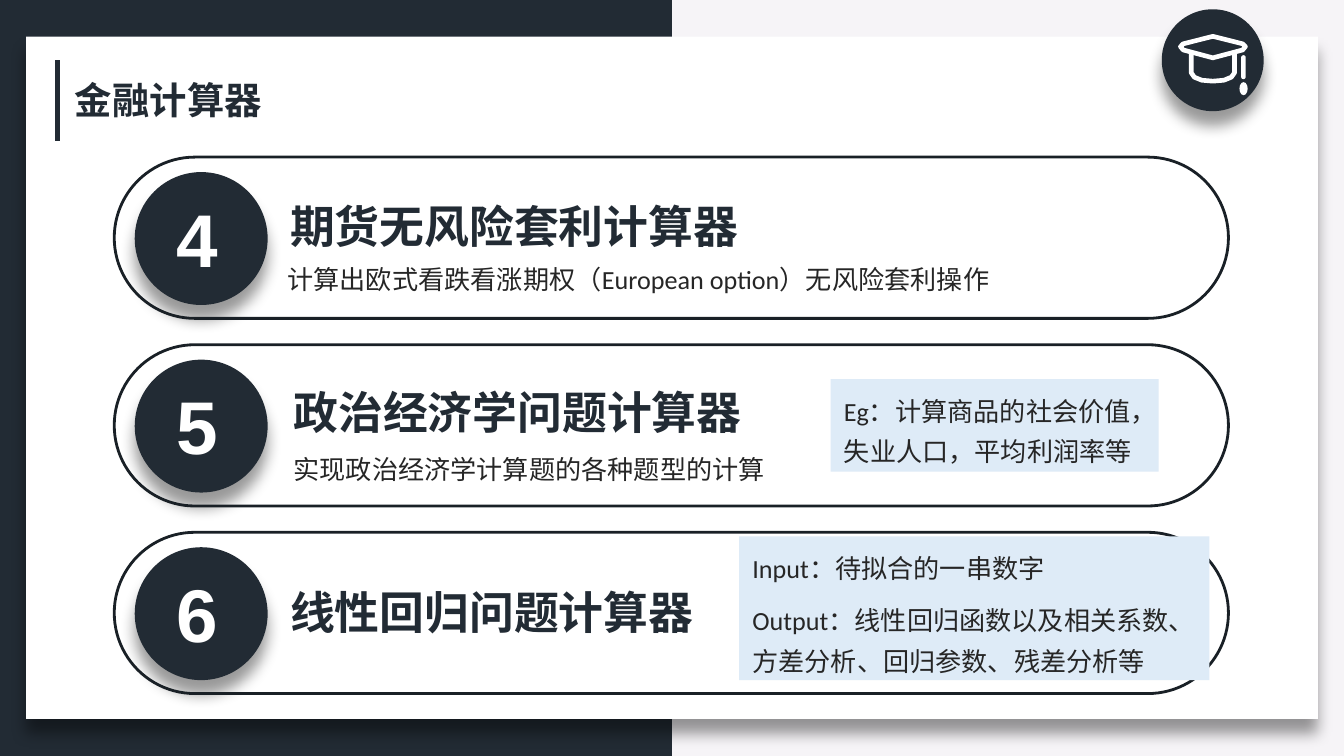
from dataclasses import dataclass

from lxml import etree
from pptx import Presentation
from pptx.dml.color import RGBColor
from pptx.enum.lang import MSO_LANGUAGE_ID
from pptx.enum.shapes import MSO_CONNECTOR, MSO_SHAPE
from pptx.enum.text import MSO_ANCHOR, MSO_AUTO_SIZE, PP_ALIGN
from pptx.oxml.ns import qn
from pptx.util import Pt

RECTANGLE = MSO_SHAPE.RECTANGLE
OVAL = MSO_SHAPE.OVAL
ROUNDED = MSO_SHAPE.ROUNDED_RECTANGLE
STRAIGHT = MSO_CONNECTOR.STRAIGHT
CHINESE = MSO_LANGUAGE_ID.SIMPLIFIED_CHINESE
FIT_SHAPE = MSO_AUTO_SIZE.SHAPE_TO_FIT_TEXT
TOP = MSO_ANCHOR.TOP
LEFT = PP_ALIGN.LEFT
CENTER = PP_ALIGN.CENTER

NAVY = RGBColor(0x22, 0x2B, 0x34)
OUTLINE = RGBColor(0x19, 0x20, 0x26)
BODY = RGBColor(0x26, 0x26, 0x26)
WHITE = RGBColor(0xFF, 0xFF, 0xFF)
PALE = RGBColor(0xF6, 0xF4, 0xF7)
SKY = RGBColor(0xDE, 0xEB, 0xF7)
CJK_FONT = "Noto Sans CJK SC"


@dataclass
class Box:
    left: float
    top: float
    width: float
    height: float

    def inner(self, left, top, width, height):
        return Box(self.left + left, self.top + top, width, height)

    def lengths(self):
        return Pt(self.left), Pt(self.top), Pt(self.width), Pt(self.height)


@dataclass
class Style:
    size: float
    font: str
    color: RGBColor
    bold: bool = False
    align: int = LEFT
    spaced: bool = False


PAGE_TITLE = Style(20, CJK_FONT, NAVY, bold=True)
ROW_TITLE = Style(24, "Arial", NAVY, bold=True)
NUMBER = Style(40, "Arial", WHITE, bold=True, align=CENTER)
DETAIL = Style(14, "Calibri", BODY, spaced=True)


def add_shadow(shape):
    effects = shape._element.spPr.find(qn("a:effectLst"))
    shadow = etree.SubElement(effects, qn("a:outerShdw"), blurRad=str(Pt(8)),
                              dist=str(Pt(8)), dir="5400000", algn="t", rotWithShape="0")
    color = etree.SubElement(shadow, qn("a:srgbClr"), val="000000")
    etree.SubElement(color, qn("a:alpha"), val="40000")


def add_shape(page, kind, box, fill, shadow=False):
    shape = page.shapes.add_shape(kind, *box.lengths())
    shape.shadow.inherit = False
    shape.fill.solid()
    shape.fill.fore_color.rgb = fill
    shape.line.fill.background()
    if shadow:
        add_shadow(shape)
    return shape


def write_text(shape, lines, style, wrap=True):
    frame = shape.text_frame
    frame.word_wrap = wrap
    frame.auto_size = FIT_SHAPE
    frame.vertical_anchor = TOP
    for index, line in enumerate(lines):
        para = frame.add_paragraph() if index else frame.paragraphs[0]
        para.alignment = style.align
        if style.spaced:
            para.line_spacing = 1.3
            para.space_before = Pt(6)
        span = para.add_run()
        span.text = line
        font = span.font
        font.size = Pt(style.size)
        font.bold = style.bold
        font.color.rgb = style.color
        font.name = style.font
        font.language_id = CHINESE
        etree.SubElement(font._element, qn("a:ea"), typeface=CJK_FONT)


def add_text(page, box, line, style, wrap=True):
    write_text(page.shapes.add_textbox(*box.lengths()), [line], style, wrap)


def add_outline(page, box, points, close):
    corners = [(Pt(box.left + x), Pt(box.top + y)) for x, y in points]
    builder = page.shapes.build_freeform(*corners[0], scale=1.0)
    builder.add_line_segments(corners[1:], close=close)
    shape = builder.convert_to_shape()
    shape.shadow.inherit = False
    shape.fill.background()
    shape.line.color.rgb = WHITE
    shape.line.width = Pt(2.5)
    etree.SubElement(shape.line._get_or_add_ln(), qn("a:round"))


def draw_badge(page, box):
    add_shape(page, OVAL, box, NAVY, shadow=True)
    brim = [(10, 20), (11.5, 18.5), (27.4, 14.5), (43.3, 18.5), (44.8, 20),
            (43.3, 21.8), (27.4, 26), (11.5, 21.8)]
    bowl = [(15.8, 24), (15.8, 34), (17.5, 36.4), (21.5, 38), (27.4, 38.5),
            (33.3, 38), (37.3, 36.4), (39, 34), (39, 24)]
    add_outline(page, box, brim, close=True)
    add_outline(page, box, bowl, close=False)
    cord = add_shape(page, ROUNDED, box.inner(42.5, 24.6, 2.5, 12.8), WHITE)
    cord.adjustments[0] = 0.5
    add_shape(page, OVAL, box.inner(41.6, 39, 4.4, 7), WHITE)


def draw_frame(page, box):
    page.background.fill.solid()
    page.background.fill.fore_color.rgb = PALE
    add_shape(page, RECTANGLE, box.inner(0, 0, box.width / 2, box.height), NAVY)
    add_shape(page, RECTANGLE, box.inner(14, 19.6, 692, 365.6), WHITE, shadow=True)
    draw_badge(page, box.inner(622.4, 5, 54.6, 54.6))


def draw_heading(page, box, title):
    bar = page.shapes.add_connector(STRAIGHT, Pt(box.left), Pt(box.top),
                                    Pt(box.left), Pt(box.top + box.height))
    bar.line.color.rgb = NAVY
    bar.line.width = Pt(2.25)
    etree.SubElement(bar._element.spPr, qn("a:effectLst"))
    add_text(page, box.inner(2.3, 5.8, 115.2, 31.7), title, PAGE_TITLE, wrap=False)


def draw_row(page, box, number, title, title_box, detail, detail_box, notes, note_box):
    add_shape(page, OVAL, box.inner(11, 8, 71.2, 71.2), NAVY, shadow=True)
    pill = add_shape(page, ROUNDED, box, WHITE)
    pill.adjustments[0] = 0.5
    pill.fill.background()
    pill.line.color.rgb = OUTLINE
    pill.line.width = Pt(1.5)
    add_text(page, box.inner(7.2, 15.4, 74.9, 55.7), number, NUMBER)
    add_text(page, box.inner(*title_box), title, ROW_TITLE, wrap=False)
    if detail:
        add_text(page, box.inner(*detail_box), detail, DETAIL)
    if notes:
        panel = add_shape(page, RECTANGLE, box.inner(*note_box), SKY)
        write_text(panel, notes, DETAIL)


ROWS = [
    ("4", "期货无风险套利计算器", (87.1, 18.7, 257, 36),
     "计算出欧式看跌看涨期权（European option）无风险套利操作", (85.7, 48.2, 498.2, 27.4),
     [], None),
    ("5", "政治经济学问题计算器", (89, 17.6, 257, 36),
     "实现政治经济学计算题的各种题型的计算", (89, 49.7, 271.4, 27.4),
     ["Eg：计算商品的社会价值，失业人口，平均利润率等"], (383.8, 18.4, 175.7, 49.6)),
    ("6", "线性回归问题计算器", (87.1, 24.4, 232.6, 36),
     None, None,
     ["Input：待拟合的一串数字",
      "Output：线性回归函数以及相关系数、方差分析、回归参数、残差分析等"],
     (334.8, 2.2, 252, 77)),
]


def main():
    deck = Presentation()
    deck.slide_width, deck.slide_height = Pt(720), Pt(405)
    page = deck.slides.add_slide(deck.slide_layouts[6])
    draw_frame(page, Box(0, 0, 720, 405))
    draw_heading(page, Box(30.8, 32.2, 120, 43.2), "金融计算器")
    first_row = Box(61.2, 84.2, 596.9, 86.4)
    pitch = 100.5
    for index, row in enumerate(ROWS):
        box = first_row.inner(0, index * pitch, first_row.width, first_row.height)
        draw_row(page, box, *row)
    deck.save("out.pptx")


if __name__ == "__main__":
    main()
